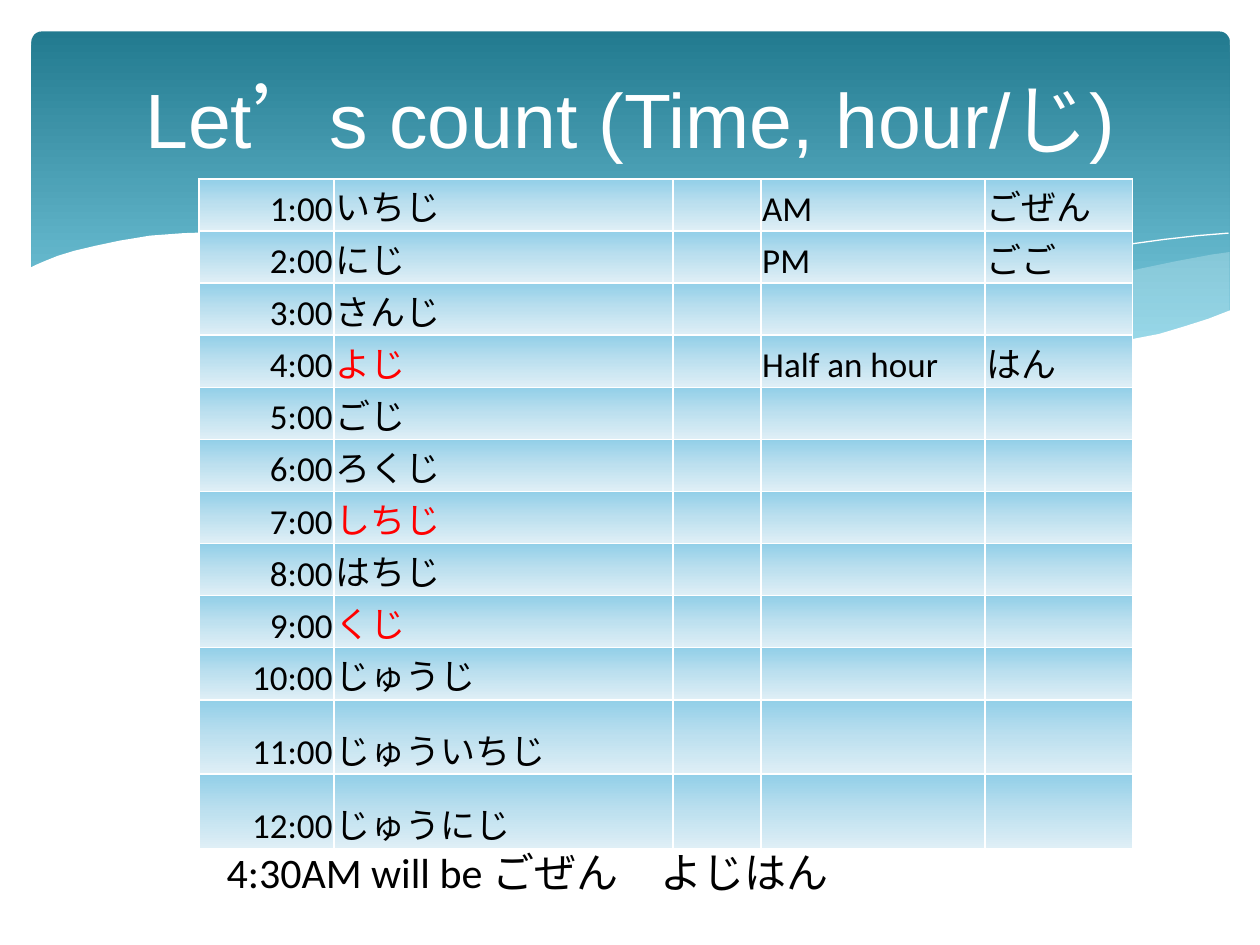
from lxml import etree
from pptx import Presentation
from pptx import util as u
from pptx.dml.color import RGBColor
from pptx.enum import shapes, text
from pptx.oxml.ns import qn

# ---- Content ----
TITLE = "Let’s count (Time, hour/じ)"
EXAMPLE = "4:30AM will be ごぜん\u3000よじはん"
HOURS = ["いちじ", "にじ", "さんじ", "よじ", "ごじ", "ろくじ",
         "しちじ", "はちじ", "くじ", "じゅうじ", "じゅういちじ", "じゅうにじ"]
IRREGULAR = {4, 7, 9}
DAY_PARTS = {1: ("AM", "ごぜん"), 2: ("PM", "ごご"), 4: ("Half an hour", "はん")}

# ---- Theme and layout (inches, points) ----
THEME = dict(
    white="FFFFFF", black="000000", red="FF0000", wave="DEF5FA",
    banner=[(0, "227A8F"), (90, "7ACBE0")],
    cell=[(0, "92CFE8"), (50, "BDE0EF"), (100, "DFEFF6")],
    title=dict(name="Arial", size=u.Pt(44)),
    body=dict(name="Calibri", size=u.Pt(20)),
    example=dict(name="Calibri", size=u.Pt(24)),
)
COL_WIDTHS = [1.07, 2.69, 0.7, 1.78, 1.17]
ROW_HEIGHTS = [0.38] * 10 + [0.59] * 2
CELL_FORMAT = dict(margin_left=u.Inches(0.01), margin_right=u.Inches(0.01),
                   margin_top=u.Inches(0.01), margin_bottom=0,
                   vertical_anchor=text.MSO_ANCHOR.BOTTOM)

# ---- Wave outlines, back to front ----
RIGHT_WAVE = [
    (9.76, 2), (9.62, 2.02), (9.35, 2.07), (9.06, 2.13), (8.76, 2.2), (8.32, 2.3),
    (7.79, 2.42), (7.29, 2.53), (6.83, 2.62), (6.61, 2.65), (6.91, 2.69),
    (7.19, 2.72), (7.45, 2.75), (7.69, 2.77), (8.03, 2.78), (8.35, 2.77),
    (8.63, 2.75), (8.89, 2.72), (9.13, 2.67), (9.35, 2.62), (9.49, 2.57),
    (9.63, 2.52), (9.76, 2.47)]
MIDDLE_WAVE = [
    (8.93, 2.73), (8.66, 2.69), (8.07, 2.6), (7.41, 2.47), (6.68, 2.31),
    (6.29, 2.22), (5.98, 2.14), (5.69, 2.08), (5.41, 2.03), (5.14, 1.98),
    (4.89, 1.94), (4.42, 1.89), (3.99, 1.86), (3.61, 1.85), (3.28, 1.87),
    (2.86, 1.91), (3.23, 1.96), (3.62, 2.03), (4.04, 2.11), (4.49, 2.22),
    (4.91, 2.32), (5.3, 2.4), (5.84, 2.52), (6.34, 2.61), (6.8, 2.68),
    (7.22, 2.74), (7.61, 2.77), (7.96, 2.78), (8.28, 2.78), (8.57, 2.77),
    (8.76, 2.75)]
FALLING_LINE = [
    (3.09, 1.95), (3.28, 1.92), (3.53, 1.89), (3.87, 1.87), (4.33, 1.87),
    (4.69, 1.89), (5.1, 1.92), (5.56, 1.97), (6.08, 2.04), (6.65, 2.13),
    (7.27, 2.26), (7.95, 2.41), (8.69, 2.61), (9.07, 2.72)]
RISING_LINE = [
    (6.13, 2.57), (6.53, 2.46), (6.95, 2.35), (7.48, 2.23), (8.06, 2.1),
    (8.66, 1.99), (8.95, 1.94), (9.24, 1.9), (9.51, 1.87), (9.75, 1.85)]
PAGE_EDGE = [
    (9.77, 2.46), (9.59, 2.53), (9.4, 2.59), (9.2, 2.65), (8.99, 2.69),
    (8.75, 2.73), (8.5, 2.75), (8.23, 2.77), (7.93, 2.76), (7.61, 2.75),
    (7.26, 2.72), (6.88, 2.68), (6.48, 2.62), (6.03, 2.54), (5.55, 2.45),
    (5.03, 2.33), (4.47, 2.2), (4.18, 2.13), (3.91, 2.07), (3.65, 2.02),
    (3.4, 1.97), (3.16, 1.94), (2.92, 1.9), (2.71, 1.88), (2.5, 1.86),
    (2.3, 1.85), (2.11, 1.84), (1.77, 1.84), (1.46, 1.85), (1.19, 1.87),
    (0.95, 1.91), (0.76, 1.95), (0.59, 1.99), (0.46, 2.03), (0.36, 2.07),
    (0.29, 2.1), (0.23, 2.13), (0.23, 3.29), (9.77, 3.29)]
# points, fill colour, opacity in percent (no fill: an open white line)
WAVES = [(RIGHT_WAVE, "wave", 29), (MIDDLE_WAVE, "wave", 40),
         (FALLING_LINE, None, 100), (RISING_LINE, None, 100),
         (PAGE_EDGE, "white", 100)]


def rgb(name):
    return RGBColor.from_string(THEME[name])


def apply(target, formats):
    for key, value in formats.items():
        setattr(target, key, value)


def add_color(parent, color, opacity=100):
    clr = etree.SubElement(parent, qn("a:srgbClr"), val=color)
    if opacity < 100:
        etree.SubElement(clr, qn("a:alpha"), val=str(opacity * 1000))


def set_gradient(fill, element, stops):
    fill.gradient()
    fill.gradient_angle = 270
    gs_list = element.find(".//" + qn("a:gsLst"))
    for gs in list(gs_list):
        gs_list.remove(gs)
    for pos, color in stops:
        add_color(etree.SubElement(gs_list, qn("a:gs"), pos=str(pos * 1000)), color)


def set_borders(tc_pr):
    for i, side in enumerate(("lnL", "lnR", "lnT", "lnB")):
        ln = etree.Element(qn("a:" + side), w=str(u.Pt(1)))
        add_color(etree.SubElement(ln, qn("a:solidFill")), THEME["white"])
        tc_pr.insert(i, ln)


def write(tf, words, font, color, align=text.PP_ALIGN.LEFT):
    p = tf.paragraphs[0]
    p.alignment = align
    r = p.add_run()
    r.text = words
    apply(r.font, THEME[font])
    r.font.color.rgb = rgb(color)


def add_text(s, box, words, font, color, anchor, align=text.PP_ALIGN.LEFT):
    tf = s.shapes.add_textbox(*map(u.Inches, box)).text_frame
    apply(tf, dict(word_wrap=True, vertical_anchor=anchor))
    write(tf, words, font, color, align)


def add_wave(s, points, color, opacity):
    pts = [(u.Inches(x), u.Inches(y)) for x, y in points]
    builder = s.shapes.build_freeform(*pts[0])
    builder.add_line_segments(pts[1:], close=color is not None)
    sp = builder.convert_to_shape()
    sp.shadow.inherit = False
    if color:
        sp.fill.solid()
        sp.fill.fore_color.rgb = rgb(color)
        if opacity < 100:
            fill = sp.fill._xPr.find(qn("a:solidFill"))
            fill.clear()
            add_color(fill, THEME[color], opacity)
        sp.line.fill.background()
    else:
        sp.fill.background()
        sp.line.color.rgb = rgb("white")
        sp.line.width = 0


def add_hours_table(s):
    box = (1.58, 1.42, sum(COL_WIDTHS), sum(ROW_HEIGHTS))
    table = s.shapes.add_table(len(HOURS), len(COL_WIDTHS), *map(u.Inches, box)).table
    apply(table, dict(first_row=False, horz_banding=False))
    for col, width in zip(table.columns, COL_WIDTHS):
        col.width = u.Inches(width)
    for row, height in zip(table.rows, ROW_HEIGHTS):
        row.height = u.Inches(height)
    for hour, reading in enumerate(HOURS, 1):
        values = [f"{hour}:00", reading, "", *DAY_PARTS.get(hour, ("", ""))]
        for c, value in enumerate(values):
            cell = table.cell(hour - 1, c)
            apply(cell, CELL_FORMAT)
            tc_pr = cell._tc.get_or_add_tcPr()
            set_gradient(cell.fill, tc_pr, THEME["cell"])
            set_borders(tc_pr)
            if value:
                color = "red" if c == 1 and hour in IRREGULAR else "black"
                align = text.PP_ALIGN.RIGHT if c == 0 else text.PP_ALIGN.LEFT
                write(cell.text_frame, value, "body", color, align)


def main():
    prs = Presentation()
    prs.slide_width, prs.slide_height = u.Inches(10), u.Inches(7.5)
    s = prs.slides.add_slide(prs.slide_layouts[6])

    # Banner and waves
    sp = s.shapes.add_shape(shapes.MSO_SHAPE.ROUNDED_RECTANGLE,
                            *map(u.Inches, (0.25, 0.25, 9.51, 2.7)))
    sp.adjustments[0] = 0.03
    sp.shadow.inherit = False
    set_gradient(sp.fill, sp._element, THEME["banner"])
    sp.line.fill.background()
    for wave in WAVES:
        add_wave(s, *wave)

    # Table, title and example sentence
    add_hours_table(s)
    add_text(s, (0.5, 0.37, 9, 1.13), TITLE, "title", "white",
             text.MSO_ANCHOR.MIDDLE, text.PP_ALIGN.CENTER)
    add_text(s, (1.7, 6.67, 6.5, 0.5), EXAMPLE, "example", "black",
             text.MSO_ANCHOR.TOP)
    prs.save("out.pptx")


if __name__ == "__main__":
    main()
